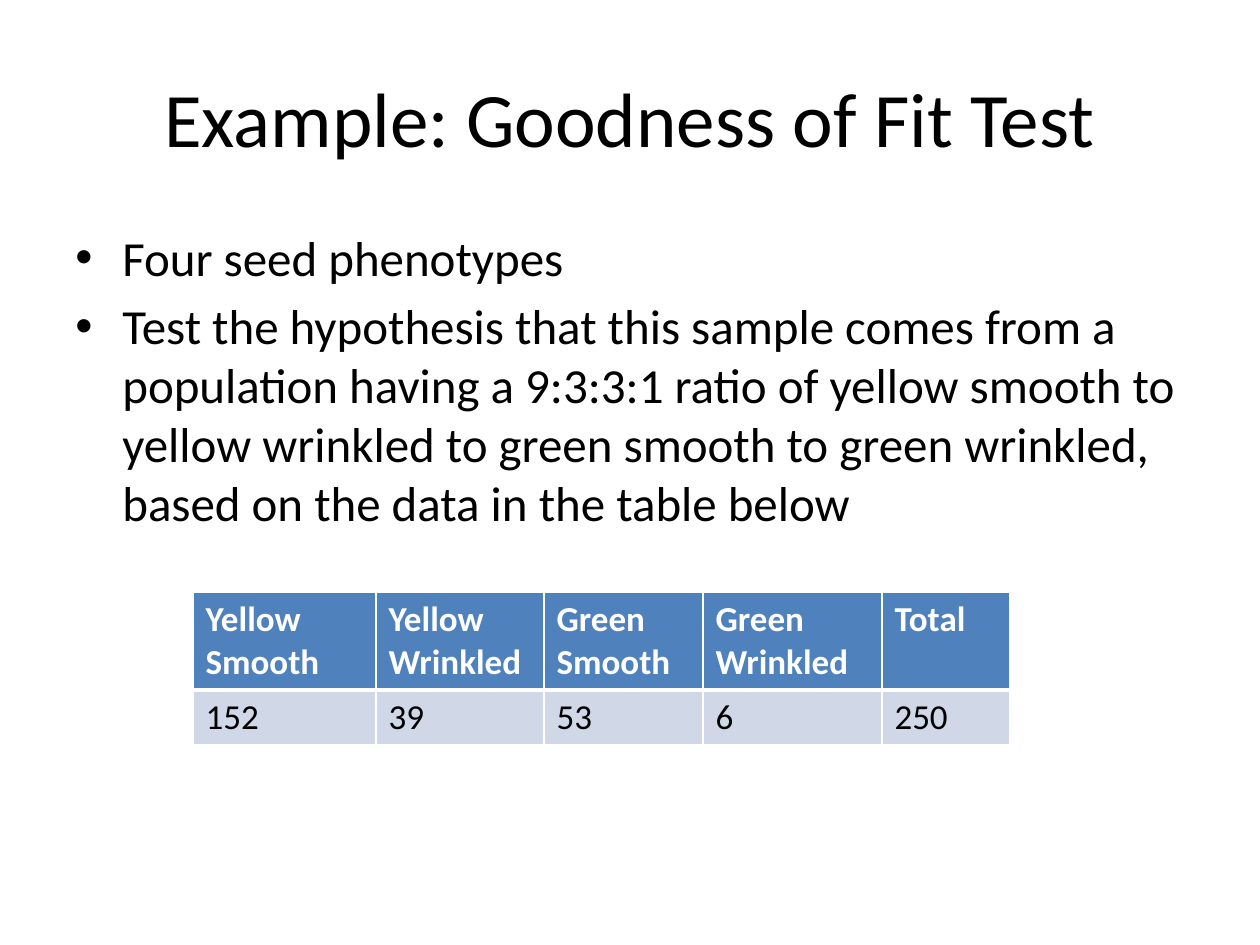
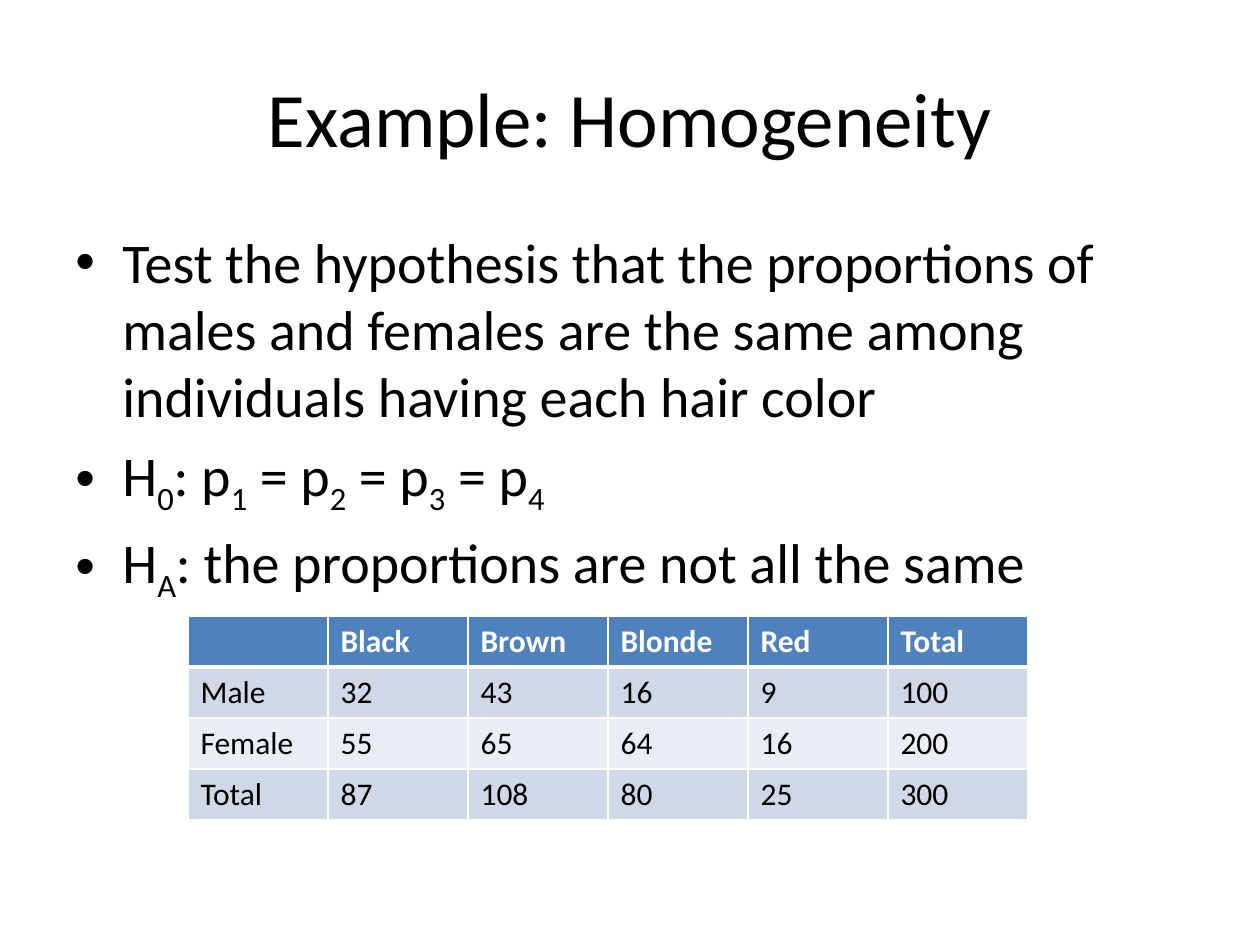
from lxml.etree import SubElement
from pptx import Presentation
from pptx.dml.color import RGBColor
from pptx.enum.text import MSO_ANCHOR, PP_ALIGN
from pptx.oxml.ns import qn
from pptx.util import Pt

SCALE = 914400 / 126
FONT = "Calibri"
BLACK = RGBColor(0x00, 0x00, 0x00)
WHITE = RGBColor(0xFF, 0xFF, 0xFF)
BLUE = RGBColor(0x4F, 0x81, 0xBD)
BANDS = RGBColor(0xD0, 0xD8, 0xE8), RGBColor(0xE9, 0xED, 0xF4)
INDENT = 47
LEFT, WIDTH = 63, 1134


def px(n):
    return round(n * SCALE)


def style(run, size, color=BLACK, bold=False):
    font = run.font
    font.name = FONT
    font.size = Pt(size)
    font.color.rgb = color
    font.bold = bold


def add_box(slide, top, height):
    box = slide.shapes.add_textbox(px(LEFT), px(top), px(WIDTH), px(height))
    box.text_frame.word_wrap = True
    return box.text_frame


def add_title(slide, text):
    frame = add_box(slide, 38, 158)
    frame.vertical_anchor = MSO_ANCHOR.MIDDLE
    frame.text = text
    title = frame.paragraphs[0]
    title.alignment = PP_ALIGN.CENTER
    style(title.runs[0], 44)


def add_bullet(para):
    props = para._p.get_or_add_pPr()
    props.set("marL", str(px(INDENT)))
    props.set("indent", str(-px(INDENT)))
    SubElement(props, qn("a:buFont")).set("typeface", "Arial")
    SubElement(props, qn("a:buChar")).set("char", "•")


def add_body(slide, height, size, points):
    frame = add_box(slide, 221, height)
    for i, parts in enumerate(points):
        para = frame.add_paragraph() if i else frame.paragraphs[0]
        add_bullet(para)
        if i:
            para.space_before = Pt(size * 0.2)
        for j, part in enumerate(parts.split("|")):
            run = para.add_run()
            run.text = part
            style(run, size)
            if j % 2:
                run._r.get_or_add_rPr().set("baseline", "-25000")


def add_edges(cell, row):
    props = cell._tc.get_or_add_tcPr()
    widths = {"L": 1, "R": 1, "T": 3 if row == 1 else 1, "B": 1 if row else 3}
    for side, width in widths.items():
        line = SubElement(props, qn(f"a:ln{side}"), w=str(Pt(width)))
        fill = SubElement(line, qn("a:solidFill"))
        SubElement(fill, qn("a:srgbClr"), val=str(WHITE))


def add_grid(slide, left, top, cols, rows, size, data):
    frame = slide.shapes.add_table(len(rows), len(cols), px(left), px(top),
                                   px(sum(cols)), px(sum(rows)))
    table = frame.table
    for col, width in zip(table.columns, cols):
        col.width = px(width)
    for r, (height, texts) in enumerate(zip(rows, data)):
        table.rows[r].height = px(height)
        for c, text in enumerate(texts):
            cell = table.cell(r, c)
            add_edges(cell, r)
            cell.fill.solid()
            cell.fill.fore_color.rgb = BANDS[(r - 1) % 2] if r else BLUE
            if text:
                cell.text_frame.text = text
                run = cell.text_frame.paragraphs[0].runs[0]
                style(run, size, BLACK if r else WHITE, r == 0)


def add_fit(slide):
    add_title(slide, "Example: Goodness of Fit Test")
    add_body(slide, 387, 28, [
        "Four seed phenotypes",
        "Test the hypothesis that this sample comes from a population having "
        "a 9:3:3:1 ratio of yellow smooth to yellow wrinkled to green smooth "
        "to green wrinkled, based on the data in the table below",
    ])
    add_grid(slide, 193, 592, [183, 168, 159, 179, 128], [98, 55], 20, [
        ["Yellow Smooth", "Yellow Wrinkled", "Green Smooth",
         "Green Wrinkled", "Total"],
        ["152", "39", "53", "6", "250"],
    ])


def add_hair(slide):
    add_title(slide, "Example: Homogeneity")
    add_body(slide, 624, 32, [
        "Test the hypothesis that the proportions of males and females are "
        "the same among individuals having each hair color",
        "H|0|: p|1| = p|2| = p|3| = p|4",
        "H|A|: the proportions are not all the same",
    ])
    add_grid(slide, 188, 616, [140] * 6, [51] * 4, 18, [
        ["", "Black", "Brown", "Blonde", "Red", "Total"],
        ["Male", "32", "43", "16", "9", "100"],
        ["Female", "55", "65", "64", "16", "200"],
        ["Total", "87", "108", "80", "25", "300"],
    ])


def main():
    deck = Presentation()
    deck.slide_width, deck.slide_height = px(1260), px(945)
    for build in (add_fit, add_hair):
        build(deck.slides.add_slide(deck.slide_layouts[6]))
    deck.save("out.pptx")


if __name__ == "__main__":
    main()
